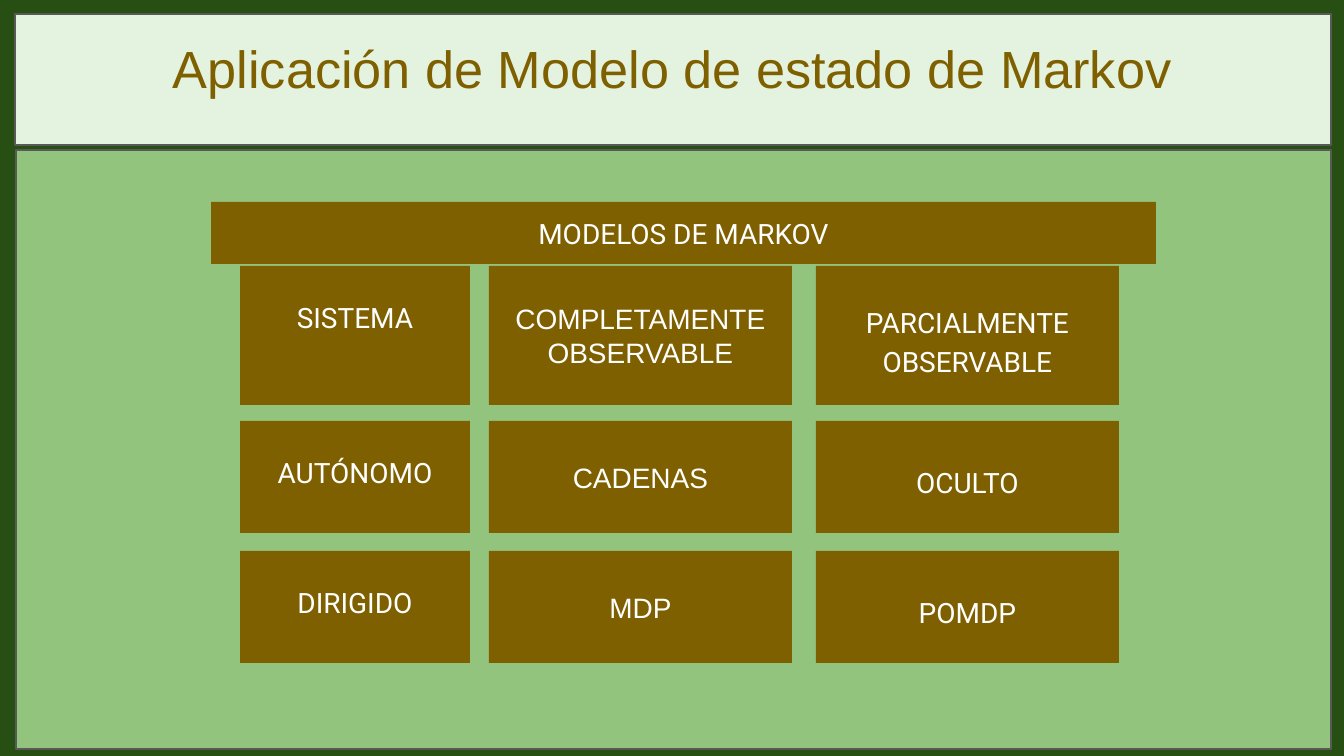
from pptx import Presentation
from pptx.dml.color import RGBColor
from pptx.enum.shapes import MSO_SHAPE
from pptx.enum.text import MSO_ANCHOR, MSO_AUTO_SIZE, PP_ALIGN
from pptx.util import Emu, Pt

RECT, PROCESS = MSO_SHAPE.RECTANGLE, MSO_SHAPE.FLOWCHART_PROCESS
TOP, MIDDLE = MSO_ANCHOR.TOP, MSO_ANCHOR.MIDDLE
CENTER, NO_FIT = PP_ALIGN.CENTER, MSO_AUTO_SIZE.NONE
PX = 914400 / 134.4
INSET = 13
COLORS = {"frame": "274E13", "header": "E4F3DF", "body": "93C47D",
          "border": "595959", "brown": "7F6000", "white": "FFFFFF"}


def add_box(kind, x, y, w, h, fill, border=None):
    sp = s.shapes.add_shape(kind, *[Emu(round(v * PX)) for v in (x, y, w, h)])
    sp.shadow.inherit = False
    sp.fill.solid()
    sp.fill.fore_color.rgb = RGBColor.from_string(COLORS[fill])
    if border:
        sp.line.color.rgb = RGBColor.from_string(COLORS[border])
        sp.line.width = Pt(0.75)
    else:
        sp.line.fill.background()
    return sp


def write(sp, text, font="Roboto", size=15, color="white", anchor=MIDDLE,
          top=INSET, spacing=1.0):
    tf = sp.text_frame
    tf.word_wrap = True
    tf.auto_size = NO_FIT
    tf.vertical_anchor = anchor
    tf.margin_left = tf.margin_right = tf.margin_bottom = Emu(round(INSET * PX))
    tf.margin_top = Emu(round(top * PX))
    for i, line in enumerate(text.split("\n")):
        p = tf.add_paragraph() if i else tf.paragraphs[0]
        p.alignment = CENTER
        p.line_spacing = spacing
        p.space_before = Pt(0)
        r = p.add_run()
        r.text = line
        r.font.name = font
        r.font.size = Pt(size)
        r.font.color.rgb = RGBColor.from_string(COLORS[color])


prs = Presentation()
prs.slide_width, prs.slide_height = Emu(round(1344 * PX)), Emu(round(756 * PX))
s = prs.slides.add_slide(prs.slide_layouts[5])
s.background.fill.solid()
s.background.fill.fore_color.rgb = RGBColor.from_string(COLORS["frame"])

header = add_box(PROCESS, 15, 14, 1316, 131, "header", "border")
title = s.shapes.title
title._element.addprevious(header._element)
title.left, title.top, title.width, title.height = [
    Emu(round(v * PX)) for v in (46, 23, 1252, 113)]
write(title, "Aplicación de Modelo de estado de Markov",
      font="Arial", size=28, color="brown", anchor=TOP)

add_box(PROCESS, 16, 150, 1315, 599, "body", "border")
banner = add_box(RECT, 211, 202, 945, 62, "brown")
write(banner, "MODELOS DE MARKOV")

columns = [
    (240, 230, {"anchor": TOP, "top": 35}),
    (489, 303, {"font": "Arial"}),
    (816, 303, {"anchor": TOP, "top": 40, "spacing": 1.15}),
]
rows = [
    (266, 139, ["SISTEMA", "COMPLETAMENTE\nOBSERVABLE", "PARCIALMENTE\nOBSERVABLE"]),
    (421, 112, ["AUTÓNOMO", "CADENAS", "OCULTO"]),
    (551, 112, ["DIRIGIDO", "MDP", "POMDP"]),
]
for y, h, labels in rows:
    for (x, w, style), label in zip(columns, labels):
        cell = add_box(RECT, x, y, w, h, "brown")
        if "PARCIALMENTE" in label:
            style = {**style, "top": 35}
        write(cell, label, **style)

prs.save("out.pptx")
